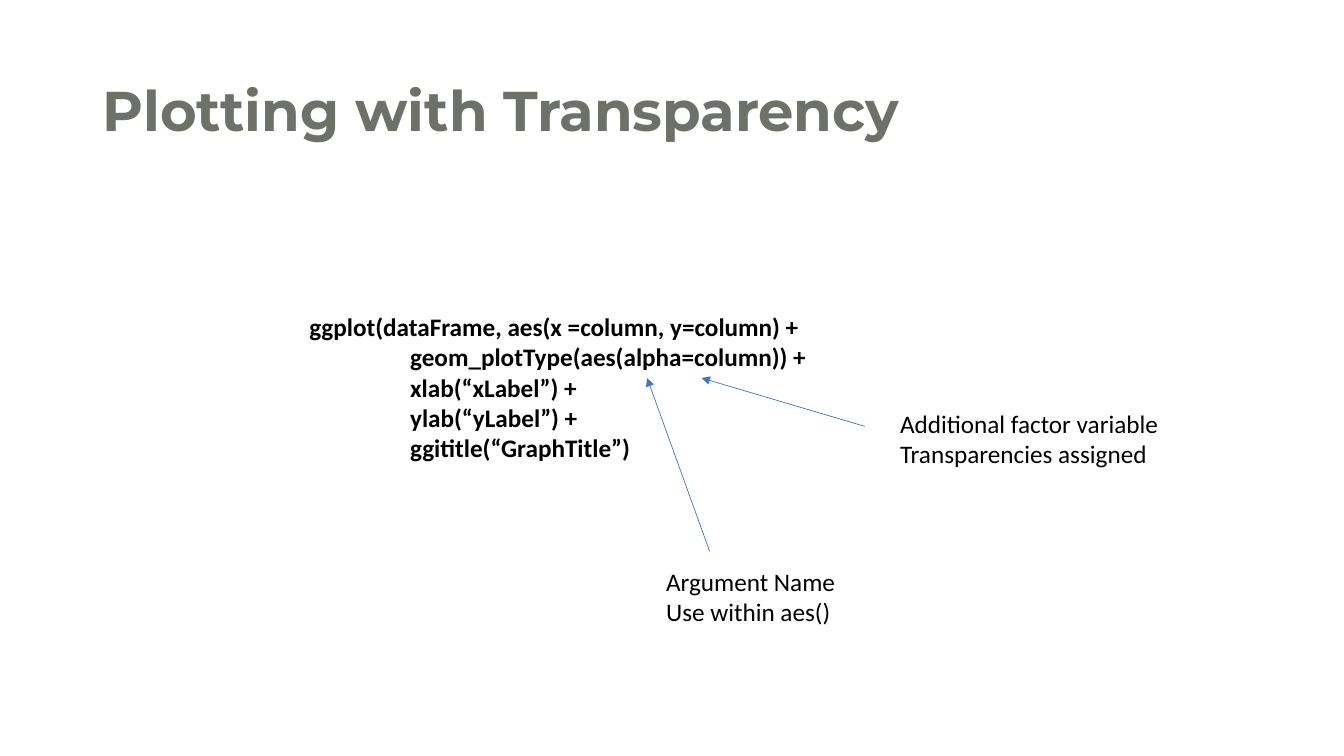
from dataclasses import dataclass

from lxml.etree import SubElement
from pptx import Presentation
from pptx.dml.color import RGBColor
from pptx.enum.shapes import MSO_CONNECTOR
from pptx.enum.text import MSO_ANCHOR as Anchor, MSO_AUTO_SIZE as AutoSize, PP_ALIGN as Align
from pptx.oxml.ns import qn
from pptx.slide import Slide
from pptx.text.text import TextFrame
from pptx.util import Inches, Pt

WIDTH, HEIGHT = Inches(13.33), Inches(7.5)
COLS, ROWS = 160, 90


@dataclass(frozen=True)
class Theme:
    heading: str = "Montserrat"
    body: str = "Calibri"
    title_color: str = "6E706A"
    text_color: str = "000000"
    arrow_color: str = "4472C4"
    title_size: float = 40
    body_size: float = 18
    arrow_width: float = 0.5
    code_tab: float = 1


THEME = Theme()


@dataclass(frozen=True)
class Box:
    col: float
    row: float
    cols: float
    rows: float


@dataclass(frozen=True)
class TextBlock:
    box: Box
    lines: tuple[str, ...]
    code: bool = False


@dataclass(frozen=True)
class Arrow:
    start: tuple[float, float]
    tip: tuple[float, float]


TITLE_BOX = Box(11, 4.8, 138, 17.4)

CODE = TextBlock(Box(35.64, 36.48, 153.72, 19.44), (
    "ggplot(dataFrame, aes(x =column, y=column) +",
    "\tgeom_plotType(aes(alpha=column)) +",
    "\txlab(“xLabel”) +",
    "\tylab(“yLabel”) +",
    "\tggititle(“GraphTitle”)",
), code=True)

ARROWS = (
    Arrow((84.48, 65.64), (77.04, 45)),
    Arrow((102.96, 50.76), (83.52, 45)),
)

NOTES = (
    TextBlock(Box(78.12, 66.84, 36.6, 8.52), ("Argument Name", "Use within aes()")),
    TextBlock(Box(105.96, 48, 41.04, 8.52),
              ("Additional factor variable", "Transparencies assigned")),
)


def x(cols: float) -> int:
    return round(WIDTH * cols / COLS)


def y(rows: float) -> int:
    return round(HEIGHT * rows / ROWS)


def place(box: Box) -> tuple[int, int, int, int]:
    return x(box.col), y(box.row), x(box.cols), y(box.rows)


def add_run(p, text: str, font: str, size: float, color: str, bold: bool) -> None:
    r = p.add_run()
    r.text = text
    r.font.name = font
    r.font.size = Pt(size)
    r.font.bold = bold
    r.font.color.rgb = RGBColor.from_string(color)


def add_tab_stop(p, inches: float) -> None:
    tabs = SubElement(p._p.get_or_add_pPr(), qn("a:tabLst"))
    SubElement(tabs, qn("a:tab"), pos=str(Inches(inches)), algn="l")


def write_lines(tf: TextFrame, block: TextBlock) -> None:
    for i, line in enumerate(block.lines):
        p = tf.add_paragraph() if i else tf.paragraphs[0]
        if block.code:
            add_tab_stop(p, THEME.code_tab)
        add_run(p, line, THEME.body, THEME.body_size, THEME.text_color, block.code)


def add_title(slide: Slide, text: str) -> None:
    sp = slide.shapes.title
    sp.left, sp.top, sp.width, sp.height = place(TITLE_BOX)
    tf = sp.text_frame
    tf.auto_size = AutoSize.NONE
    tf.vertical_anchor = Anchor.MIDDLE
    p = tf.paragraphs[0]
    p.alignment = Align.LEFT
    p.line_spacing = 0.9
    add_run(p, text, THEME.heading, THEME.title_size, THEME.title_color, True)


def add_text(slide: Slide, block: TextBlock) -> None:
    tf = slide.shapes.add_textbox(*place(block.box)).text_frame
    tf.word_wrap = True
    tf.auto_size = AutoSize.SHAPE_TO_FIT_TEXT
    write_lines(tf, block)


def add_arrow(slide: Slide, arrow: Arrow) -> None:
    (x1, y1), (x2, y2) = arrow.start, arrow.tip
    cxn = slide.shapes.add_connector(MSO_CONNECTOR.STRAIGHT, x(x1), y(y1), x(x2), y(y2))
    cxn.line.color.rgb = RGBColor.from_string(THEME.arrow_color)
    cxn.line.width = Pt(THEME.arrow_width)
    SubElement(cxn.line._get_or_add_ln(), qn("a:tailEnd"), type="triangle")
    SubElement(cxn._element.spPr, qn("a:effectLst"))


def main() -> None:
    prs = Presentation()
    prs.slide_width, prs.slide_height = WIDTH, HEIGHT
    slide = prs.slides.add_slide(prs.slide_layouts[5])
    add_title(slide, "Plotting with Transparency")
    add_text(slide, CODE)
    for arrow in ARROWS:
        add_arrow(slide, arrow)
    for note in NOTES:
        add_text(slide, note)
    prs.save("out.pptx")


if __name__ == "__main__":
    main()
